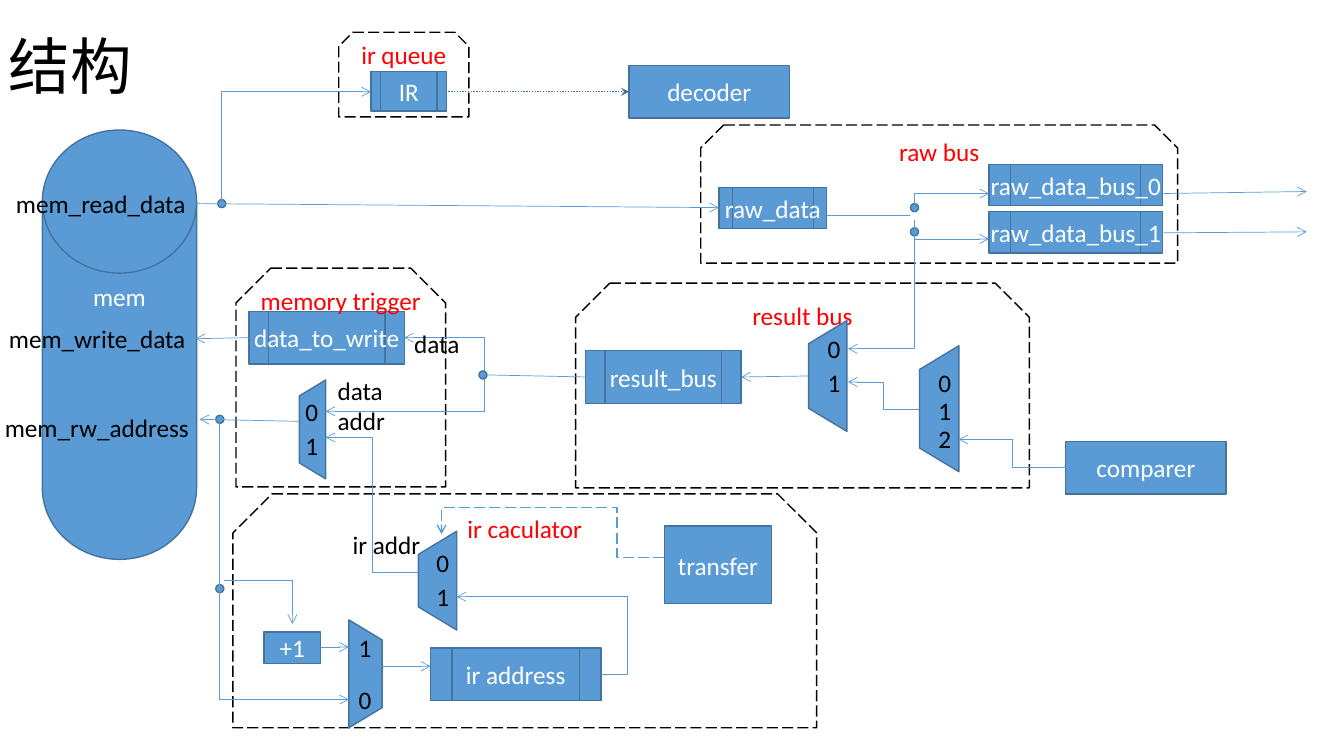
"""Builds the processor structure slide with its memory, buses and multiplexers."""
from dataclasses import dataclass
from typing import Optional

from lxml import etree
from pptx import Presentation
from pptx.dml.color import RGBColor
from pptx.enum.dml import MSO_LINE
from pptx.enum.shapes import MSO_CONNECTOR, MSO_SHAPE
from pptx.enum.text import MSO_ANCHOR, MSO_AUTO_SIZE, PP_ALIGN
from pptx.oxml.ns import qn
from pptx.util import Inches, Pt

RECT = MSO_SHAPE.RECTANGLE
REGISTER = MSO_SHAPE.FLOWCHART_PREDEFINED_PROCESS
DISK = MSO_SHAPE.FLOWCHART_MAGNETIC_DISK
SNIPPED = MSO_SHAPE.SNIP_2_SAME_RECTANGLE
TRAPEZOID = MSO_SHAPE.TRAPEZOID
OVAL = MSO_SHAPE.OVAL
STRAIGHT, ELBOW = MSO_CONNECTOR.STRAIGHT, MSO_CONNECTOR.ELBOW
LONG_DASH, DOTTED = MSO_LINE.LONG_DASH, MSO_LINE.ROUND_DOT
TOP, MIDDLE = MSO_ANCHOR.TOP, MSO_ANCHOR.MIDDLE
CENTER, LEFT = PP_ALIGN.CENTER, PP_ALIGN.LEFT
FIT_SHAPE = MSO_AUTO_SIZE.SHAPE_TO_FIT_TEXT

BLUE = RGBColor(0x5B, 0x9B, 0xD5)
EDGE = RGBColor(0x43, 0x73, 0x9E)
BLACK = RGBColor(0, 0, 0)
WHITE = RGBColor(255, 255, 255)
RED = RGBColor(255, 0, 0)
FONT = "Calibri"
DOT_SIZE = 0.08
Point = tuple[float, float]


@dataclass
class Block:
    text: str
    kind: MSO_SHAPE
    left: float
    top: float
    width: float
    height: float


@dataclass
class Mux:
    left: float
    top: float
    width: float
    height: float
    digit_left: float
    digits: dict[str, float]
    turn: int = 270


@dataclass
class Label:
    text: str
    left: float
    top: float
    width: float


@dataclass
class Wire:
    start: Point
    end: Point
    route: str = "line"
    bends: tuple[float, ...] = ()
    head: Optional[str] = "arrow"
    color: RGBColor = BLUE
    weight: float = 0.5
    dash: Optional[MSO_LINE] = None


BLOCKS = [
    Block("mem", DISK, 0.42, 1.29, 1.53, 4.26),
    Block("IR", REGISTER, 3.68, 0.71, 0.75, 0.39),
    Block("ir address", REGISTER, 4.27, 6.43, 1.69, 0.52),
    Block("+1", RECT, 2.62, 6.27, 0.56, 0.31),
    Block("raw_data_bus_0", REGISTER, 9.81, 1.63, 1.72, 0.41),
    Block("raw_data_bus_1", REGISTER, 9.81, 2.1, 1.72, 0.41),
    Block("data_to_write", REGISTER, 2.47, 3.09, 1.54, 0.52),
    Block("raw_data", REGISTER, 7.13, 1.86, 1.07, 0.41),
    Block("decoder", RECT, 6.24, 0.65, 1.59, 0.52),
    Block("comparer", RECT, 10.57, 4.38, 1.59, 0.52),
    Block("transfer", RECT, 6.59, 5.22, 1.06, 0.77),
    Block("result_bus", REGISTER, 5.81, 3.48, 1.54, 0.52),
    Block("ir queue", SNIPPED, 3.36, 0.32, 1.29, 0.84),
    Block("raw bus", SNIPPED, 6.95, 1.24, 4.73, 1.37),
    Block("result bus", SNIPPED, 5.71, 2.81, 4.5, 2.03),
    Block("memory trigger", SNIPPED, 2.34, 2.66, 2.08, 2.17),
    Block("ir caculator", SNIPPED, 2.31, 4.9, 5.79, 2.32),
]
MUXES = [
    Mux(3.09, 6.52, 1.07, 0.33, 3.46, {"1": 6.22, "0": 6.74}, turn=90),
    Mux(7.66, 3.54, 1.1, 0.38, 8.11, {"0": 3.26, "1": 3.59}),
    Mux(8.69, 3.86, 1.25, 0.39, 9.21, {"0": 3.59, "1": 3.87, "2": 4.15}),
    Mux(2.61, 4.13, 0.98, 0.26, 2.93, {"0": 3.88, "1": 4.22}),
    Mux(3.85, 5.57, 0.98, 0.38, 4.23, {"0": 5.38, "1": 5.72}),
]
JUNCTIONS = [(9.03, 2.26), (9.03, 2.02), (2.14, 4.12), (2.16, 1.98), (4.75, 3.68), (2.14, 5.8)]
LABELS = [
    Label("mem_read_data", 0.06, 1.82, 1.88),
    Label("mem_write_data", -0.01, 3.16, 1.95),
    Label("mem_rw_address", -0.05, 4.04, 2.03),
    Label("ir addr", 3.4, 5.2, 0.87),
    Label("data addr", 3.25, 3.67, 1.17),
    Label("data", 4.01, 3.21, 0.65),
]
WIRES = [
    Wire((1.94, 2.02), (7.13, 2.06)),
    Wire((2.47, 3.35), (1.94, 3.36)),
    Wire((2.97, 4.18), (1.98, 4.16)),
    Wire((11.54, 2.31), (12.96, 2.3)),
    Wire((11.54, 1.92), (12.96, 1.9)),
    Wire((3.18, 6.42), (3.46, 6.42)),
    Wire((3.79, 6.61), (4.27, 6.61)),
    Wire((8.02, 3.73), (7.35, 3.74)),
    Wire((5.81, 3.74), (4.84, 3.72), head=None),
    Wire((8.2, 2.14), (9.03, 2.14), head=None),
    Wire((4.42, 0.91), (6.24, 0.91), head="stealth", color=EDGE, weight=1, dash=DOTTED),
    Wire((9.07, 2.34), (8.41, 3.46), "down_first"),
    Wire((9.07, 2.18), (9.81, 2.37), "down_first"),
    Wire((9.07, 2.1), (9.81, 1.92), "up_first"),
    Wire((2.2, 1.98), (3.68, 0.91), "up_first"),
    Wire((4.8, 3.68), (4.01, 3.35), "up_first"),
    Wire((4.8, 3.76), (3.23, 4.08), "down_first"),
    Wire((2.18, 4.2), (3.46, 6.94), "down_first"),
    Wire((2.22, 5.76), (2.9, 6.19), "bentConnector2"),
    Wire((5.96, 6.69), (4.53, 5.92), "bentConnector3", (-0.182,)),
    Wire((9.12, 4.06), (8.41, 3.79), "bentConnector3", (0.5,)),
    Wire((4.15, 5.68), (3.23, 4.34), "bentConnector3", (0.5,)),
    Wire((10.57, 4.64), (9.51, 4.36), "bentConnector3", (0.5,)),
    Wire((6.59, 5.53), (4.38, 5.3), "bentConnector4", (0.213, 2.16), weight=1, dash=LONG_DASH),
]


def write(shape, text: str, color: RGBColor, align=LEFT, anchor=TOP, size: float = 18, wrap: bool = False) -> None:
    frame = shape.text_frame
    frame.text = text
    frame.word_wrap = wrap
    frame.vertical_anchor = anchor
    paragraph = frame.paragraphs[0]
    paragraph.alignment = align
    font = paragraph.runs[0].font
    font.name, font.size, font.color.rgb = FONT, Pt(size), color


def add_solid(slide, kind: MSO_SHAPE, left: float, top: float, width: float, height: float):
    solid = slide.shapes.add_shape(kind, Inches(left), Inches(top), Inches(width), Inches(height))
    solid.shadow.inherit = False
    solid.fill.solid()
    solid.fill.fore_color.rgb = BLUE
    solid.line.color.rgb = EDGE
    solid.line.width = Pt(1)
    return solid


def add_block(slide, block: Block) -> None:
    shape = add_solid(slide, block.kind, block.left, block.top, block.width, block.height)
    framed = block.kind == SNIPPED
    if framed:
        shape.fill.background()
        shape.line.color.rgb = BLACK
        shape.line.dash_style = LONG_DASH
    write(shape, block.text, RED if framed else WHITE, CENTER, TOP if framed or block.kind == DISK else MIDDLE)
    if framed:
        shape.text_frame.margin_top = 0
    elif block.kind == DISK:
        shape.text_frame.margin_top = Inches(0.08)


def add_label(slide, label: Label, wrap: bool = False) -> None:
    box = slide.shapes.add_textbox(Inches(label.left), Inches(label.top), Inches(label.width), Inches(0.4))
    write(box, label.text, BLACK, wrap=wrap)
    box.text_frame.auto_size = FIT_SHAPE


def add_mux(slide, mux: Mux) -> None:
    body = add_solid(slide, TRAPEZOID, mux.left, mux.top, mux.width, mux.height)
    body.adjustments[0] = 0.604
    body.rotation = mux.turn
    for digit, top in mux.digits.items():
        add_label(slide, Label(digit, mux.digit_left, top, 0.3), wrap=True)


def add_wire(slide, wire: Wire) -> None:
    (x1, y1), (x2, y2) = wire.start, wire.end
    turned = wire.route in ("down_first", "up_first")
    if turned:
        mid_x, mid_y = (x1 + x2) / 2, (y1 + y2) / 2
        half_run, half_rise = abs(y2 - y1) / 2, abs(x2 - x1) / 2
        rise = half_rise if (x2 > x1) == (wire.route == "up_first") else -half_rise
        x1, x2, y1, y2 = mid_x - half_run, mid_x + half_run, mid_y - rise, mid_y + rise
    kind = STRAIGHT if wire.route == "line" else ELBOW
    connector = slide.shapes.add_connector(kind, Inches(x1), Inches(y1), Inches(x2), Inches(y2))
    properties = connector.element.spPr
    if turned:
        properties.find(qn("a:xfrm")).set("rot", str((90 if wire.route == "down_first" else 270) * 60000))
    if kind == ELBOW:
        geometry = properties.find(qn("a:prstGeom"))
        geometry.set("prst", "bentConnector2" if turned else wire.route)
        guides = geometry.find(qn("a:avLst"))
        for number, bend in enumerate(wire.bends, 1):
            etree.SubElement(guides, qn("a:gd"), name=f"adj{number}", fmla=f"val {round(bend * 100000)}")
    connector.line.color.rgb = wire.color
    connector.line.width = Pt(wire.weight)
    if wire.dash is not None:
        connector.line.dash_style = wire.dash
    if wire.head:
        etree.SubElement(properties.find(qn("a:ln")), qn("a:tailEnd"), type=wire.head)
    etree.SubElement(properties, qn("a:effectLst"))


def main() -> None:
    deck = Presentation()
    deck.slide_width, deck.slide_height = Inches(13.33), Inches(7.5)
    slide = deck.slides.add_slide(deck.slide_layouts[6])
    title = slide.shapes.add_textbox(Inches(-0.01), Inches(0), Inches(1.95), Inches(1.38))
    write(title, "结构", BLACK, anchor=MIDDLE, size=44, wrap=True)
    title.text_frame.paragraphs[0].line_spacing = 0.9
    for block in BLOCKS:
        add_block(slide, block)
    for mux in MUXES:
        add_mux(slide, mux)
    for left, top in JUNCTIONS:
        add_solid(slide, OVAL, left, top, DOT_SIZE, DOT_SIZE)
    for wire in WIRES:
        add_wire(slide, wire)
    for label in LABELS:
        add_label(slide, label)
    deck.save("out.pptx")


if __name__ == "__main__":
    main()
